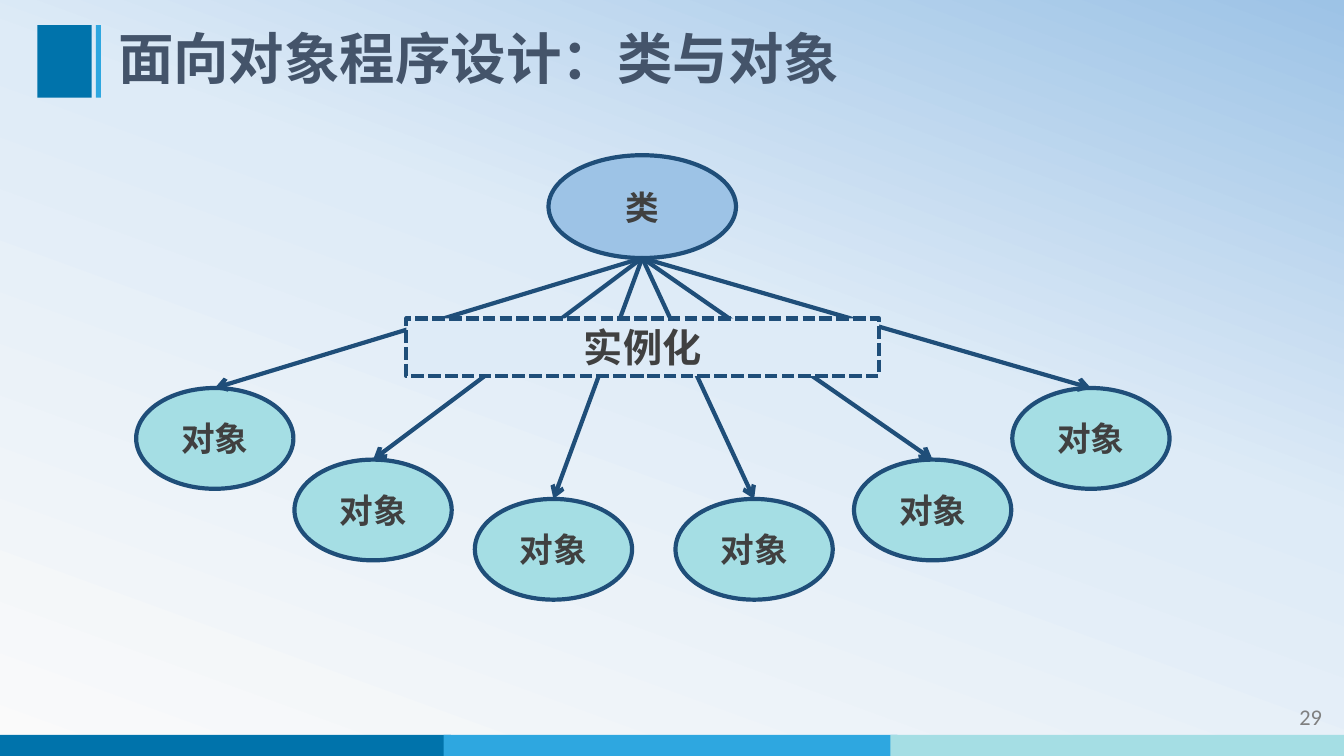
from copy import deepcopy

from lxml import etree
from pptx import Presentation
from pptx import util as u
from pptx.dml.color import RGBColor
from pptx.enum import dml, shapes, text
from pptx.oxml.ns import qn

COLORS = {
    "deep": "0073AB", "bright": "2EA7E0", "aqua": "A5DEE4",
    "sky": "9DC3E6", "pale": "DEEBF7", "white": "FAFAFA",
    "navy": "1F4E79", "title": "44546A", "body": "404040", "number": "808080",
}
COLORS = {name: RGBColor.from_string(value) for name, value in COLORS.items()}
CJK = "Noto Sans CJK SC"
RECT, OVAL = shapes.MSO_SHAPE.RECTANGLE, shapes.MSO_SHAPE.OVAL
LEFT, CENTER, RIGHT = text.PP_ALIGN.LEFT, text.PP_ALIGN.CENTER, text.PP_ALIGN.RIGHT

prs = Presentation()
prs.slide_width, prs.slide_height = u.Inches(13.33), u.Inches(7.5)
slide = prs.slides.add_slide(prs.slide_layouts[5])


def add_block(kind, place, fill, outlined=False):
    """Add a filled shape; place is left, top, width, height in % of the slide."""
    sides = (prs.slide_width, prs.slide_height) * 2
    block = slide.shapes.add_shape(kind, *(int(s * p / 100) for s, p in zip(sides, place)))
    block.shadow.inherit = False
    if fill:
        block.fill.solid()
        block.fill.fore_color.rgb = COLORS[fill]
    else:
        block.fill.background()
    if outlined:
        block.line.color.rgb = COLORS["navy"]
        block.line.width = u.Pt(3)
    else:
        block.line.fill.background()
    return block


def write(shape, words, size, color="body", align=CENTER, name=CJK, bold=True):
    frame = shape.text_frame
    frame.text = words
    frame.word_wrap = True
    frame.vertical_anchor = text.MSO_ANCHOR.MIDDLE
    paragraph = frame.paragraphs[0]
    paragraph.alignment = align
    run = paragraph.runs[0]
    run.font.color.rgb = COLORS[color]
    for key, value in {"size": u.Pt(size), "name": name, "bold": bold}.items():
        setattr(run.font, key, value)
    etree.SubElement(run.font._element, qn("a:ea"), typeface=name)
    return paragraph


# Background gradient
backdrop = slide.background.fill
backdrop.gradient()
backdrop.gradient_angle = 70
stop_list = next(slide.element.iter(qn("a:gsLst")))
stop_list.append(deepcopy(stop_list[0]))
for stop, (position, color) in zip(
    backdrop.gradient_stops, [(0, "white"), (0.58, "pale"), (1, "sky")]
):
    stop.position = position
    stop.color.rgb = COLORS[color]

# Footer bars, title marker and page number
for column, color in enumerate(["deep", "bright", "aqua"]):
    add_block(RECT, (-0.22 + 33.23 * column, 97.2, 33.76, 2.8), color)
add_block(RECT, (2.78, 3.33, 4.05, 9.6), "deep")
add_block(RECT, (7.13, 3.33, 0.38, 9.6), "bright")
page_number = add_block(RECT, (87.17, 92.13, 11.93, 5.33), None)
write(page_number, "29", 16, "number", RIGHT, "Calibri", False)

# Title
title = slide.shapes.title
title.left, title.width = int(prs.slide_width * 0.0803), int(prs.slide_width * 0.8147)
title.top, title.height = int(prs.slide_height * 0.0333), int(prs.slide_height * 0.096)
write(title, "面向对象程序设计：类与对象", 39.6, "title", LEFT).line_spacing = 0.9

# The class and the objects made from it
class_node = add_block(OVAL, (40.81, 20.53, 13.95, 13.6), "sky", True)
write(class_node, "类", 24)
origin = class_node.left + class_node.width // 2, class_node.top + class_node.height
lefts = [10.13, 21.91, 35.33, 50.26, 63.54, 75.32]
tops = [51.33, 60.8, 66]
for left, top in zip(lefts, tops + tops[::-1]):
    object_node = add_block(OVAL, (left, top, 11.7, 13.33), "aqua", True)
    write(object_node, "对象", 24)
    arrow = slide.shapes.add_connector(shapes.MSO_CONNECTOR.STRAIGHT, *origin, *origin)
    arrow.end_connect(object_node, 0)
    arrow.line.color.rgb = COLORS["navy"]
    arrow.line.width = u.Pt(3)
    etree.SubElement(arrow.line._get_or_add_ln(), qn("a:tailEnd"), type="arrow")
    etree.SubElement(arrow._element.spPr, qn("a:effectLst"))

instantiation = add_block(RECT, (30.23, 42.13, 35.18, 7.6), "pale", True)
instantiation.line.dash_style = dml.MSO_LINE.SQUARE_DOT
write(instantiation, "实例化", 28)

prs.save("out.pptx")
